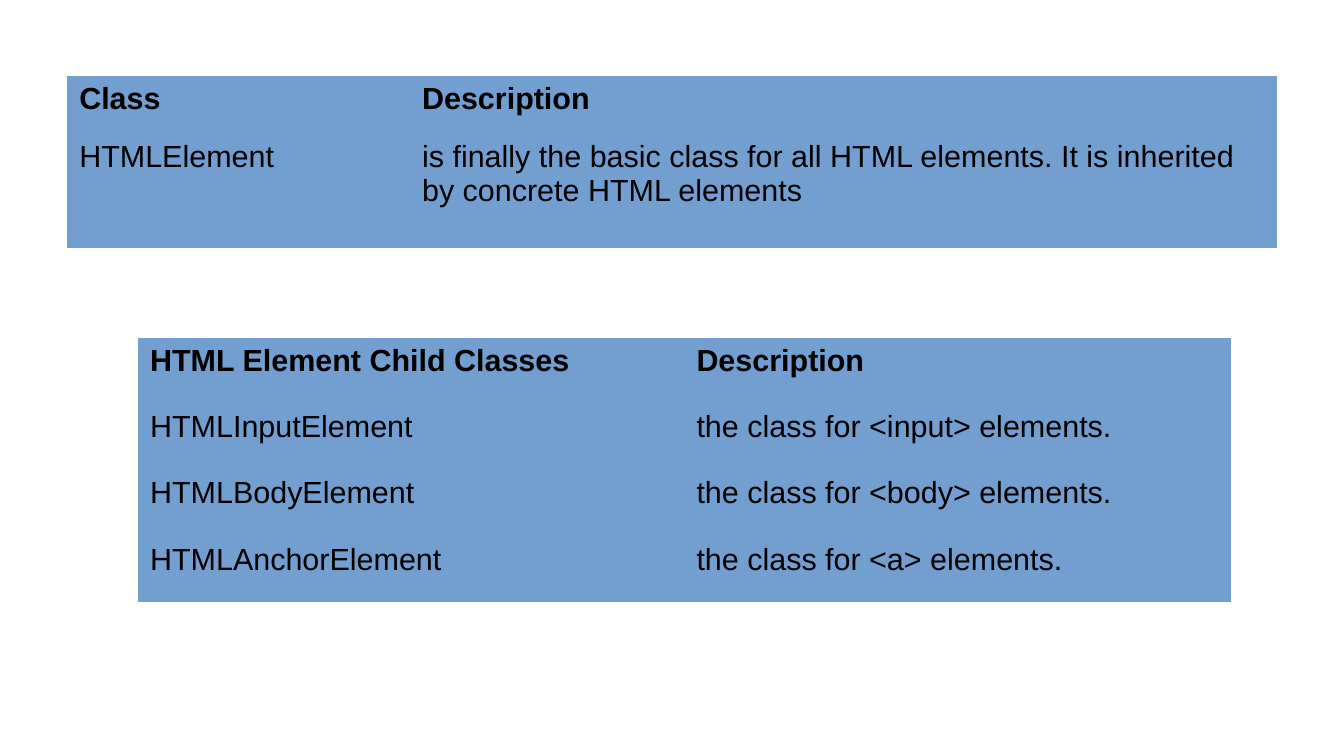
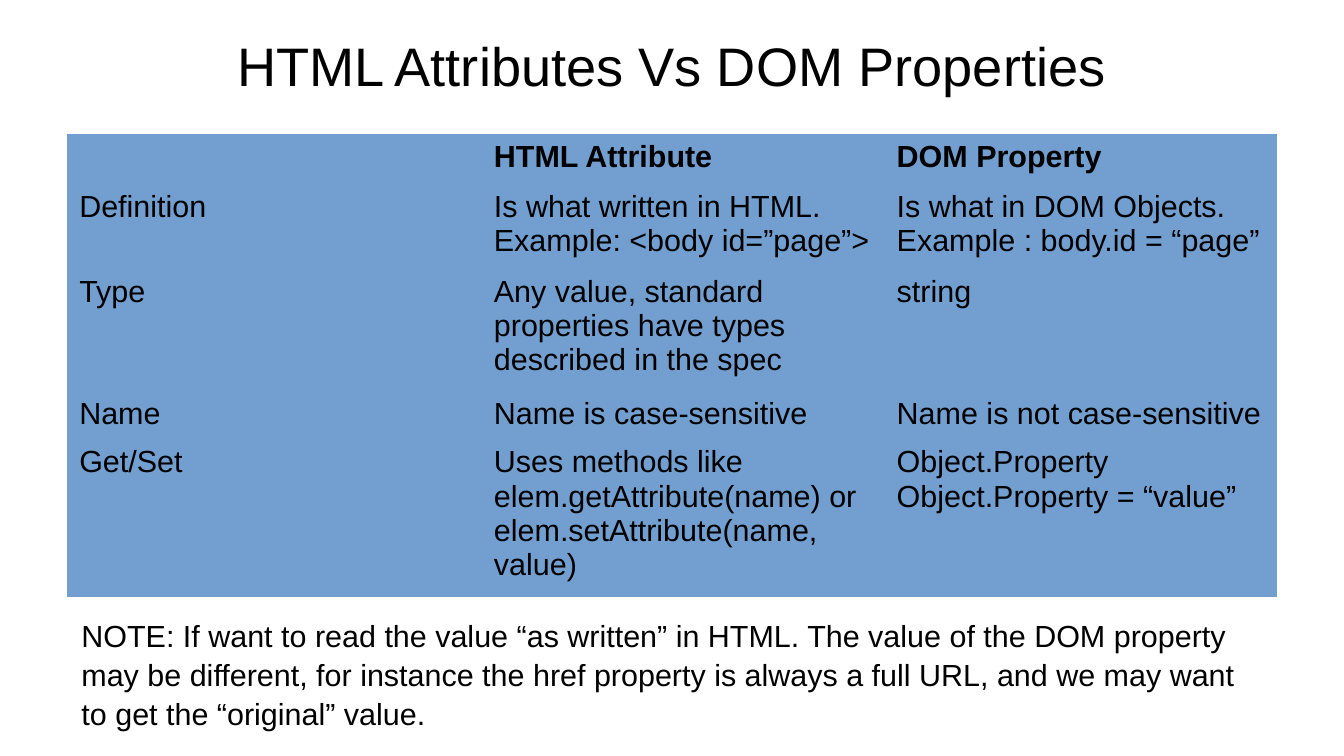
import pptx
import pptx.util
import pptx.dml.color
import pptx.enum.text

Pt = pptx.util.Pt
BLUE = pptx.dml.color.RGBColor(0x72, 0x9F, 0xCF)
BLACK = pptx.dml.color.RGBColor(0, 0, 0)
FONT = "Arial"
BODY = 18
PLAIN = "{2D5ABB26-0587-4C30-8999-92F81FD0307C}"  # table style without grid
LEFT, WIDE = 39.6, 714.24


def style(frame, size=BODY, bold=False):
    for par in frame.paragraphs:
        for run in par.runs:
            run.font.name = FONT
            run.font.size = Pt(size)
            run.font.bold = bold
            run.font.color.rgb = BLACK


def add_grid(slide, left, top, cols, highs, rows):
    """Add a blue table whose first row is bold."""
    shape = slide.shapes.add_table(len(rows), len(cols), Pt(left), Pt(top),
                                   Pt(sum(cols)), Pt(sum(highs)))
    grid = shape.table
    grid.horz_banding = False
    grid._tbl.xpath(".//a:tableStyleId")[0].text = PLAIN
    for col, width in zip(grid.columns, cols):
        col.width = Pt(width)
    for i, (high, row) in enumerate(zip(highs, rows)):
        grid.rows[i].height = Pt(high)
        for cell, text in zip(grid.rows[i].cells, row):
            cell.fill.solid()
            cell.fill.fore_color.rgb = BLUE
            cell.text_frame.text = text
            style(cell.text_frame, bold=i == 0)


deck = pptx.Presentation()
deck.slide_width, deck.slide_height = Pt(793.44), Pt(446.4)

# Slide 1: element classes
slide = deck.slides.add_slide(deck.slide_layouts[6])
add_grid(slide, LEFT, 44.7, [202.4, WIDE - 202.4], [34.2, 67.4], [
    ["Class", "Description"],
    ["HTMLElement", "is finally the basic class for all HTML elements. "
                    "It is inherited by concrete HTML elements"],
])
kids = [("HTMLInputElement", "input"), ("HTMLBodyElement", "body"),
        ("HTMLAnchorElement", "a")]
rows = [["HTML Element Child Classes", "Description"]]
rows += [[name, f"the class for <{tag}> elements."] for name, tag in kids]
add_grid(slide, 81.4, 199.4, [322.6] * 2, [39.1] * 4, rows)

# Slide 2: title
slide = deck.slides.add_slide(deck.slide_layouts[5])
title = slide.shapes.title
title.left, title.top = Pt(LEFT), Pt(18)
title.width, title.height = Pt(WIDE), Pt(40.4)
frame = title.text_frame
frame.text = "HTML Attributes Vs DOM Properties"
frame.margin_left = frame.margin_right = 0
frame.margin_top = frame.margin_bottom = 0
frame.vertical_anchor = pptx.enum.text.MSO_ANCHOR.MIDDLE
frame.paragraphs[0].alignment = pptx.enum.text.PP_ALIGN.CENTER
style(frame, 32)

# Slide 2: comparison
add_grid(slide, LEFT, 79.1, [244.8, 237.8, WIDE - 482.6],
         [28.9, 50.2, 72, 28.9, 93.2], [
    ["", "HTML Attribute", "DOM Property"],
    ["Definition", "Is what written in HTML. Example: <body id=”page”>",
     "Is what in DOM Objects. Example : body.id = “page”"],
    ["Type", "Any value, standard properties have types described in the spec",
     "string"],
    ["Name", "Name is case-sensitive", "Name is not case-sensitive"],
    ["Get/Set", "Uses methods like elem.getAttribute(name) or "
                "elem.setAttribute(name, value)",
     "Object.Property\nObject.Property = “value”"],
])

# Slide 2: note
note = slide.shapes.add_textbox(Pt(41), Pt(359.3), Pt(WIDE), Pt(67.7))
frame = note.text_frame
frame.word_wrap = True
frame.text = (
    "NOTE: If want to read the value “as written” in HTML. The value of the "
    "DOM property may be different, for instance the href property is always "
    "a full URL, and we may want to get the “original” value.")
frame.paragraphs[0].line_spacing = 1.07
style(frame)

deck.save("out.pptx")
